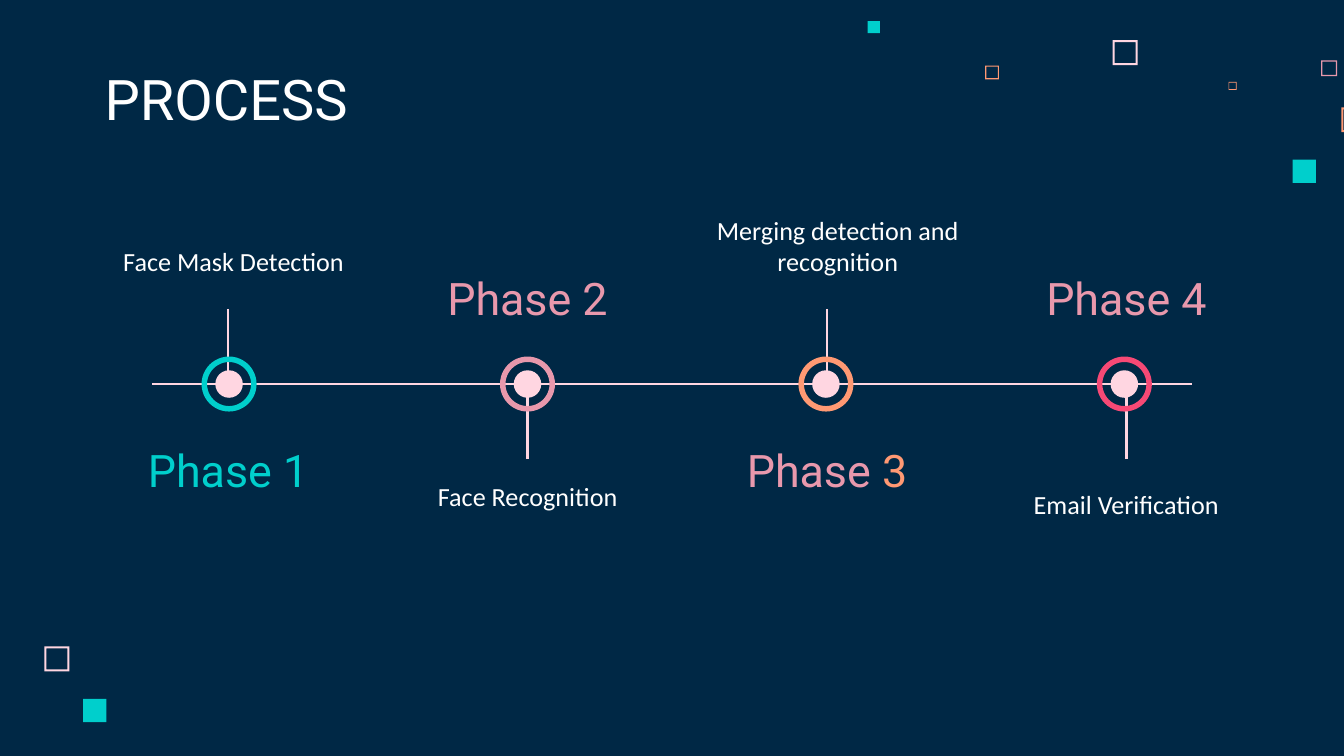
import pptx
import pptx.util
import pptx.dml.color
import pptx.enum.shapes
import pptx.enum.text
import pptx.oxml.ns
import lxml.etree

Cm = pptx.util.Cm
SHAPE = pptx.enum.shapes.MSO_SHAPE
ANCHOR = pptx.enum.text.MSO_ANCHOR
ALIGN = pptx.enum.text.PP_ALIGN
COLORS = {"navy": "002845", "white": "FFFFFF", "blush": "FFD6E1", "teal": "00CFCC",
          "pink": "E898AC", "orange": "FF9973", "red": "F64975"}

SQUARES = [
    (21.03, 0.76, 0.47, "blush", False),
    (24.97, 1.14, 0.3, "pink", False),
    (23.22, 1.55, 0.15, "orange", False),
    (25.35, 2.03, 0.47, "orange", False),
    (24.43, 3.02, 0.44, "teal", True),
    (18.62, 1.24, 0.26, "orange", False),
    (16.4, 0.4, 0.23, "teal", True),
    (0.84, 12.22, 0.47, "blush", False),
    (1.57, 13.21, 0.44, "teal", True),
]

PHASES = [
    ("Face Mask Detection", (1.8, 3.68, 5.23), True, "teal", "teal", "teal"),
    ("Face Recognition", (7.04, 8.84, 5.87), False, "pink", "pink", "pink"),
    ("Merging detection and recognition", (12.9, 3.68, 5.87), True, "orange", "pink", "orange"),
    ("Email Verification", (18.67, 8.99, 5.23), False, "red", "pink", "pink"),
]


def rgb(name):
    """Return the named colour."""
    return pptx.dml.color.RGBColor.from_string(COLORS[name])


def add_shape(s, kind, x, y, size, color, adj=None):
    """Add a plain filled shape as wide as it is high."""
    sp = s.shapes.add_shape(kind, Cm(x), Cm(y), Cm(size), Cm(size))
    sp.shadow.inherit = False
    sp.fill.solid()
    sp.fill.fore_color.rgb = rgb(color)
    sp.line.fill.background()
    if adj is not None:
        sp.adjustments[0] = adj


def add_line(s, x1, y1, x2, y2):
    """Add a thin straight line."""
    sp = s.shapes.add_connector(pptx.enum.shapes.MSO_CONNECTOR.STRAIGHT,
                                Cm(x1), Cm(y1), Cm(x2), Cm(y2))
    sp.line.color.rgb = rgb("blush")
    sp.line.width = pptx.util.Pt(1.5)
    lxml.etree.SubElement(sp._element.spPr, pptx.oxml.ns.qn("a:effectLst"))


def add_text(s, box, runs, size, font, anchor, align=ALIGN.CENTER):
    """Add a one-paragraph text box from (text, colour) runs."""
    sp = s.shapes.add_textbox(*map(Cm, box))
    tf = sp.text_frame
    tf.word_wrap = True
    tf.vertical_anchor = anchor
    tf.margin_left = tf.margin_right = tf.margin_top = tf.margin_bottom = Cm(0.25)
    p = tf.paragraphs[0]
    p.alignment = align
    for text, color in runs:
        r = p.add_run()
        r.text = text
        r.font.size = pptx.util.Pt(size)
        r.font.name = font
        r.font.color.rgb = rgb(color)


def add_squares(s):
    """Scatter the decorative squares."""
    for x, y, size, color, solid in SQUARES:
        if solid:
            add_shape(s, SHAPE.RECTANGLE, x, y, size, color)
        else:
            add_shape(s, SHAPE.FRAME, x, y, size, color, 0.08)


def add_marker(s, x, y, size, color):
    """Draw a dot inside a ring, filling a square box."""
    dot = size / 2
    add_shape(s, SHAPE.OVAL, x + dot / 2, y + dot / 2, dot, "blush")
    add_shape(s, SHAPE.DONUT, x, y, size, color, 0.1)


def add_timeline(s, x, y, w):
    """Draw the axis with its phases alternating above and below."""
    add_line(s, x, y, x + w, y)
    for i, (text, (left, top, width), above, ring, word, digit) in enumerate(PHASES):
        center = x + 1.44 + 5.66 * i
        side = -1 if above else 1
        add_line(s, center, y + side * 1.42, center, y + side * 0.17)
        add_marker(s, x + 0.94 + 5.64 * i, y - 0.52, 1.04, ring)
        add_text(s, (left, top, width, 1.8), [(text, "white")], 14, "Calibri",
                 ANCHOR.BOTTOM if above else ANCHOR.TOP)
        label_y = y + 1.02 if above else y - 2.23
        runs = [(f"Phase {i + 1}", word)]
        if word != digit:
            runs = [("Phase ", word), (str(i + 1), digit)]
        add_text(s, (center - 1.79, label_y, 3.58, 1.19), runs, 24, "Roboto", ANCHOR.MIDDLE)


def main():
    """Build the process slide."""
    prs = pptx.Presentation()
    prs.slide_width, prs.slide_height = Cm(25.4), Cm(14.29)
    s = prs.slides.add_slide(prs.slide_layouts[6])
    s.background.fill.solid()
    s.background.fill.fore_color.rgb = rgb("navy")
    add_squares(s)
    add_text(s, (1.73, 1.14, 13.13, 1.6), [("PROCESS", "white")], 30, "Roboto",
             ANCHOR.BOTTOM, ALIGN.LEFT)
    add_timeline(s, 2.87, 7.26, 19.66)
    prs.save("out.pptx")


if __name__ == "__main__":
    main()
